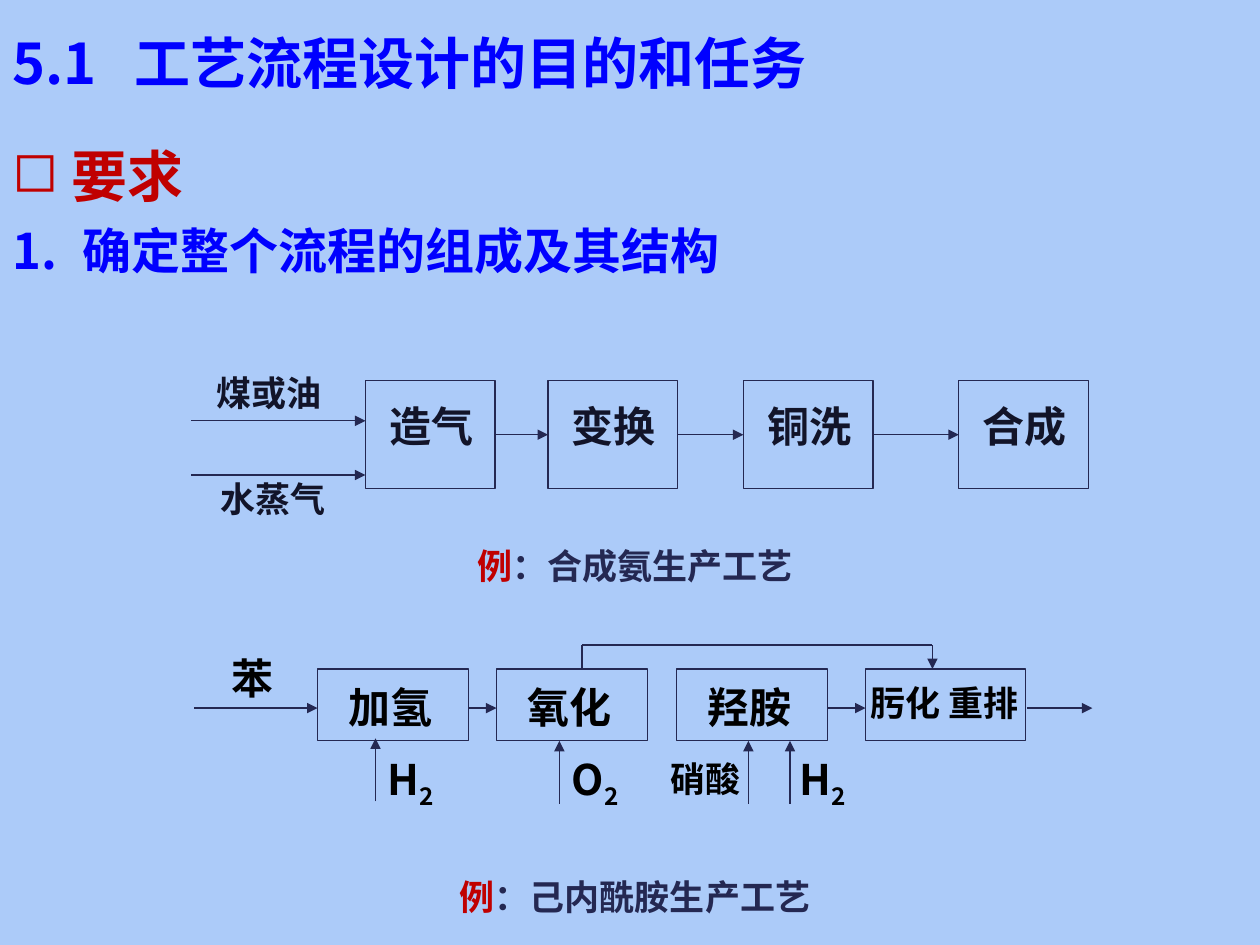
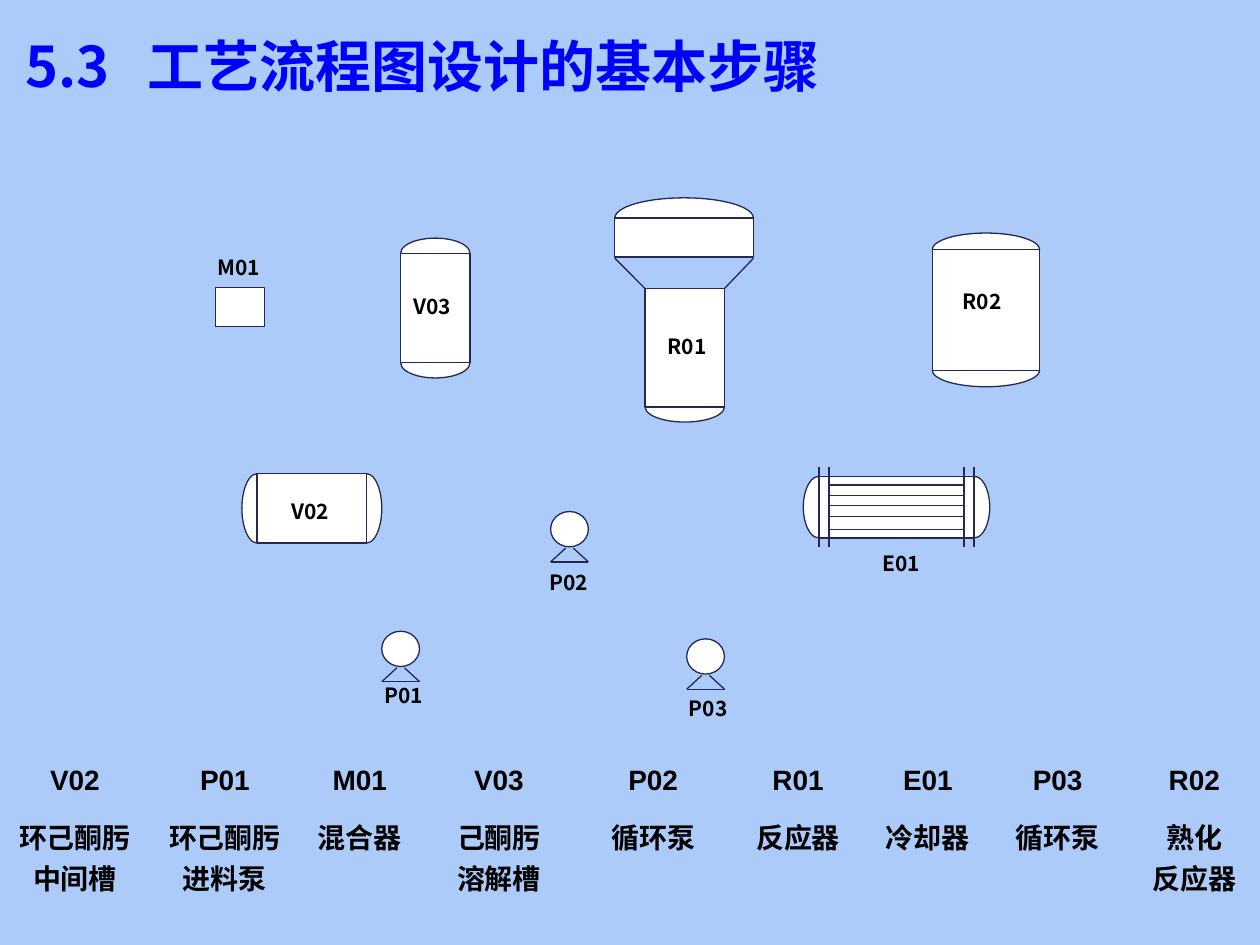
from lxml import etree
from pptx import Presentation
from pptx import util as u
from pptx.dml.color import RGBColor
from pptx.enum import shapes as kinds, text as t
from pptx.oxml import ns

SKY = RGBColor(0xAC, 0xCB, 0xF9)
BLUE = RGBColor(0x00, 0x00, 0xFF)
RED = RGBColor(0xC0, 0x00, 0x00)
NAVY = RGBColor(0x24, 0x28, 0x52)
INK = RGBColor(0x12, 0x14, 0x29)
BLACK = RGBColor(0, 0, 0)
WHITE = RGBColor(0xFF, 0xFF, 0xFF)
FONT = "Noto Sans CJK SC"
CENTER = t.PP_ALIGN.CENTER
RECT = kinds.MSO_SHAPE.RECTANGLE
OVAL = kinds.MSO_SHAPE.OVAL

EQUIPMENT = [
    ("V02", "环己酮肟\n中间槽", 1.19),
    ("P01", "环己酮肟\n进料泵", 1.19),
    ("M01", "混合器", 0.95),
    ("V03", "己酮肟\n溶解槽", 1.26),
    ("P02", "循环泵", 1.19),
    ("R01", "反应器", 1.11),
    ("E01", "冷却器", 0.95),
    ("P03", "循环泵", 1.11),
    ("R02", "熟化\n反应器", 1.06),
]


def element(parent, tag, **attributes):
    """Append a DrawingML element to a parent."""
    return etree.SubElement(parent, ns.qn("a:" + tag), **attributes)


def style(run, size, color, latin=FONT):
    """Format a run in bold, with the shared East Asian font."""
    run.font.size = u.Pt(size)
    run.font.bold = True
    run.font.color.rgb = color
    run.font.name = latin
    element(run._r.get_or_add_rPr(), "ea", typeface=FONT)


def add_slide(presentation):
    """Add a blank slide with the shared background."""
    slide = presentation.slides.add_slide(presentation.slide_layouts[6])
    slide.background.fill.solid()
    slide.background.fill.fore_color.rgb = SKY
    return slide


def text_frame(slide, left, top, width, height):
    """Add a wrapping text box and return its frame."""
    box = slide.shapes.add_textbox(*map(u.Inches, (left, top, width, height)))
    box.text_frame.word_wrap = True
    return box.text_frame


def label(slide, left, top, width, words, size=24, color=BLACK, align=None, subscript=""):
    """Add a one-line label, optionally ending in a subscript."""
    paragraph = text_frame(slide, left, top, width, size / 48).paragraphs[0]
    paragraph.text = words
    paragraph.alignment = align
    style(paragraph.runs[0], size, color)
    if subscript:
        run = paragraph.add_run()
        run.text = subscript
        style(run, size, color)
        run._r.get_or_add_rPr().set("baseline", "-25000")


def title(slide, number, words, top, height, inset):
    """Add the slide title: section number, tab, heading."""
    frame = text_frame(slide, 0, top, 10, height)
    frame.vertical_anchor = t.MSO_ANCHOR.MIDDLE
    frame.margin_left = u.Inches(inset)
    paragraph = frame.paragraphs[0]
    tabs = element(paragraph._p.get_or_add_pPr(), "tabLst")
    element(tabs, "tab", pos=str(u.Inches(0.97)), algn="l")
    paragraph.text = f"{number}\t{words}"
    style(paragraph.runs[0], 32, BLUE)


def bullet(paragraph, words, size, color, indent, tag, **marker):
    """Fill a paragraph with a hanging bullet or number."""
    paragraph.text = words
    properties = paragraph._p.get_or_add_pPr()
    properties.set("marL", str(u.Inches(indent)))
    properties.set("indent", str(-u.Inches(indent)))
    element(properties, tag, **marker)
    style(paragraph.runs[0], size, color)


def caption(slide, top, words):
    """Add a centred example caption with a red lead word."""
    paragraph = text_frame(slide, 2.47, top, 5.14, 0.44).paragraphs[0]
    paragraph.alignment = CENTER
    for part, color in (("例", RED), ("：" + words, NAVY)):
        run = paragraph.add_run()
        run.text = part
        style(run, 20, color)


def outline(slide, kind, left, top, width, height, fill=WHITE):
    """Add a thinly outlined shape, unfilled when fill is None."""
    shape = slide.shapes.add_shape(kind, *map(u.Inches, (left, top, width, height)))
    shape.shadow.inherit = False
    shape.line.color.rgb = NAVY
    shape.line.width = u.Pt(0.75)
    if fill is None:
        shape.fill.background()
    else:
        shape.fill.solid()
        shape.fill.fore_color.rgb = fill


def line(slide, x1, y1, x2, y2, arrow=False):
    """Add a thin line, with an arrowhead at its end if asked."""
    connector = slide.shapes.add_connector(
        kinds.MSO_CONNECTOR.STRAIGHT, *map(u.Inches, (x1, y1, x2, y2)))
    connector.line.color.rgb = NAVY
    connector.line.width = u.Pt(0.75)
    if arrow:
        element(connector.line._get_or_add_ln(), "tailEnd", type="triangle")
    element(connector._element.spPr, "effectLst")


def vessel(slide, left, top, width, height, cap, upright=True, ends=(0, 1)):
    """Draw a vessel body over the domes at the chosen ends."""
    for end in ends:
        if upright:
            outline(slide, OVAL, left, top + end * height - cap / 2, width, cap)
        else:
            outline(slide, OVAL, left + end * width - cap / 2, top, cap, height)
    outline(slide, RECT, left, top, width, height)


def pump(slide, left, top):
    """Draw a pump: a circle on a triangular foot."""
    outline(slide, OVAL, left, top, 0.3, 0.28)
    line(slide, left, top + 0.4, left + 0.3, top + 0.4)
    line(slide, left + 0.12, top + 0.29, left, top + 0.4)
    line(slide, left + 0.18, top + 0.29, left + 0.3, top + 0.4)


def reactor(slide):
    """Draw the reactor with its wide head and tapered neck."""
    vessel(slide, 4.88, 1.73, 1.1, 0.31, 0.32, ends=(0,))
    vessel(slide, 5.12, 2.29, 0.63, 0.94, 0.24, ends=(1,))
    line(slide, 5.12, 2.29, 4.88, 2.05)
    line(slide, 5.98, 2.05, 5.75, 2.29)


def cooler(slide):
    """Draw the cooler with its tube sheets and tubes."""
    vessel(slide, 6.5, 3.78, 1.23, 0.49, 0.25, upright=False)
    for x in (6.5, 6.58, 7.65, 7.73):
        line(slide, x, 3.71, x, 4.34)
    for y in (3.85, 3.93, 4.01, 4.1, 4.2):
        line(slide, 6.58, y, 7.65, y)


def ammonia_flow(slide):
    """Draw the ammonia process chain."""
    width, middle = 1.03, 3.45
    steps = [("造气", 2.9), ("变换", 4.35), ("铜洗", 5.9), ("合成", 7.61)]
    for words, left in steps:
        outline(slide, RECT, left, 3.02, width, 0.86, None)
        label(slide, left + 0.09, 3.13, 0.94, words, color=INK)
    for (_, left), (_, following) in zip(steps, steps[1:]):
        line(slide, left + width, middle, following, middle, True)
    for words, left, top, y in (("煤或油", 1.62, 2.9, 3.34), ("水蒸气", 1.65, 3.74, 3.77)):
        line(slide, 1.52, y, 2.9, y, True)
        label(slide, left, top, 1.2, words, 20, INK)
    caption(slide, 4.27, "合成氨生产工艺")


def caprolactam_flow(slide):
    """Draw the caprolactam process chain."""
    for words, left in (("加氢", 2.52), ("氧化", 3.94), ("羟胺", 5.37)):
        outline(slide, RECT, left, 5.31, 1.2, 0.57, None)
        label(slide, left + 0.15, 5.36, 1.05, words)
    outline(slide, RECT, 6.87, 5.31, 1.27, 0.57, None)
    label(slide, 6.81, 5.36, 1.49, "肟化 重排", 20)
    for start, end in ((1.54, 2.52), (3.72, 3.94), (6.57, 6.87), (8.15, 8.67)):
        line(slide, start, 5.62, end, 5.62, True)
    for x, tip in ((2.98, 5.86), (4.44, 5.88), (5.94, 5.88), (6.27, 5.88)):
        line(slide, x, tip + 0.5, x, tip, True)
    line(slide, 4.62, 5.31, 4.62, 5.12)
    line(slide, 4.62, 5.12, 7.4, 5.12)
    line(slide, 7.4, 5.12, 7.4, 5.31, True)
    label(slide, 1.74, 5.13, 0.68, "苯")
    for gas, left in (("H", 2.98), ("O", 4.44), ("H", 6.25)):
        label(slide, left, 5.93, 0.75, gas, subscript="2")
    label(slide, 5.22, 5.96, 0.9, "硝酸", 20)
    caption(slide, 6.9, "己内酰胺生产工艺")


def fill_cell(cell, words):
    """Set a borderless, unfilled, centred table cell."""
    cell.text_frame.text = words
    for paragraph in cell.text_frame.paragraphs:
        paragraph.alignment = CENTER
        style(paragraph.runs[0], 16, BLACK, "Arial")
    properties = cell._tc.get_or_add_tcPr()
    for side in ("lnL", "lnR", "lnT", "lnB"):
        element(element(properties, side, w="0"), "noFill")
    cell.fill.background()


def equipment_table(slide):
    """Add the table of equipment codes and names."""
    table = slide.shapes.add_table(
        2, len(EQUIPMENT), 0, u.Inches(6.02), u.Inches(10), u.Inches(1.04)).table
    table.first_row = table.horz_banding = False
    table.rows[0].height = u.Inches(0.41)
    table.rows[1].height = u.Inches(0.63)
    for index, (code, name, width) in enumerate(EQUIPMENT):
        table.columns[index].width = u.Inches(width)
        fill_cell(table.cell(0, index), code)
        fill_cell(table.cell(1, index), name)


def requirements_slide(presentation):
    """Build the slide on process requirements."""
    slide = add_slide(presentation)
    title(slide, "5.1", "工艺流程设计的目的和任务", 0, 0.98, 0.1)
    frame = text_frame(slide, 0, 1.07, 9.88, 1.35)
    bullet(frame.paragraphs[0], "要求", 32, RED, 0.47, "buChar", char="◻")
    numbered = frame.add_paragraph()
    bullet(numbered, "确定整个流程的组成及其结构", 28, BLUE, 0.56,
           "buAutoNum", type="arabicPeriod")
    numbered.space_before = u.Pt(7)
    ammonia_flow(slide)
    caprolactam_flow(slide)


def equipment_slide(presentation):
    """Build the slide of equipment symbols."""
    slide = add_slide(presentation)
    title(slide, "5.3", "工艺流程图设计的基本步骤", 0.2, 0.64, 0.2)
    vessel(slide, 2.04, 3.76, 0.87, 0.55, 0.24, upright=False)
    outline(slide, RECT, 1.71, 2.28, 0.39, 0.31)
    vessel(slide, 3.18, 2.01, 0.55, 0.87, 0.24)
    vessel(slide, 7.4, 1.98, 0.85, 0.96, 0.26)
    reactor(slide)
    cooler(slide)
    for left, top in ((4.37, 4.06), (3.03, 5.01), (5.45, 5.07)):
        pump(slide, left, top)
    for code, left, top in (
            ("M01", 1.63, 1.97), ("V03", 3.18, 2.28), ("P01", 2.95, 5.37),
            ("P03", 5.37, 5.47), ("R01", 5.2, 2.6), ("R02", 7.54, 2.24)):
        label(slide, left, top, 0.63, code, 12)
    for code, left, top in (("V02", 2.15, 3.91), ("P02", 4.2, 4.47), ("E01", 6.84, 4.32)):
        label(slide, left, top, 0.63, code, 12, align=CENTER)
    equipment_table(slide)


def main():
    """Build and save the presentation."""
    presentation = Presentation()
    presentation.slide_width = u.Inches(10)
    presentation.slide_height = u.Inches(7.5)
    requirements_slide(presentation)
    equipment_slide(presentation)
    presentation.save("out.pptx")


if __name__ == "__main__":
    main()
